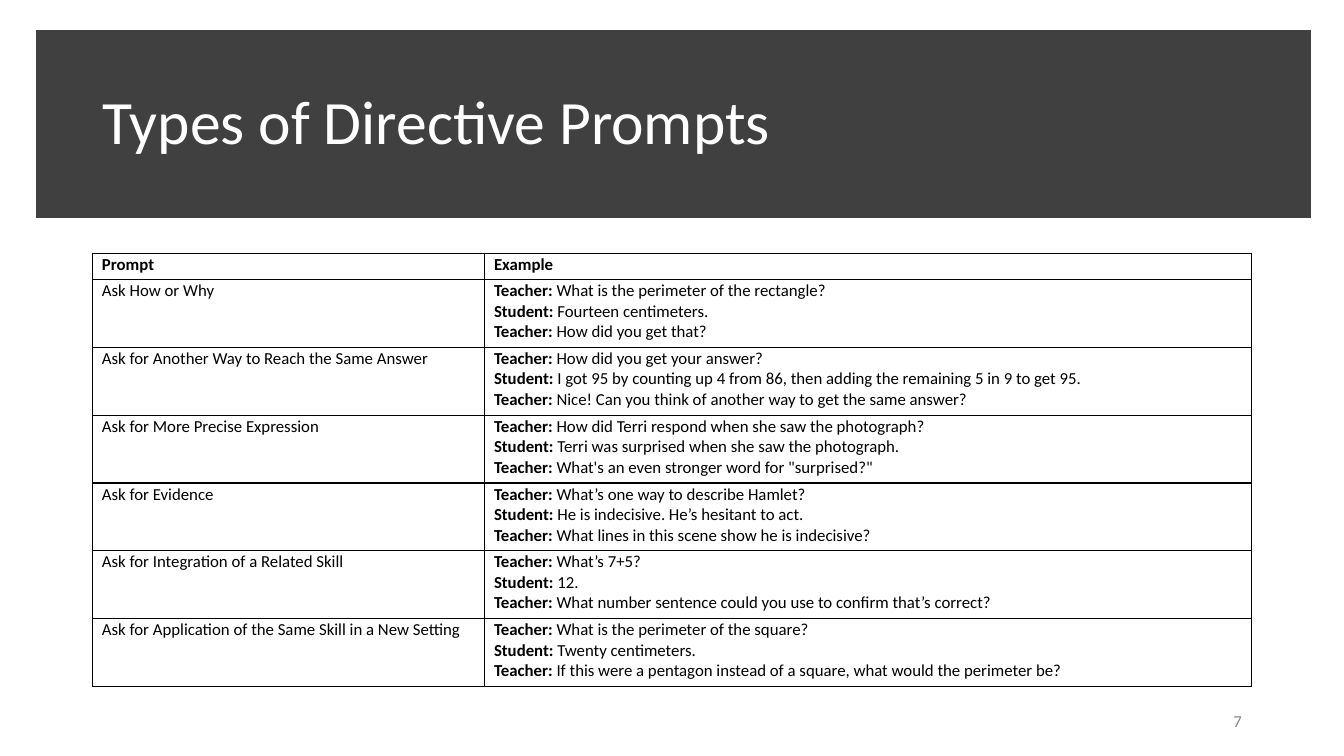
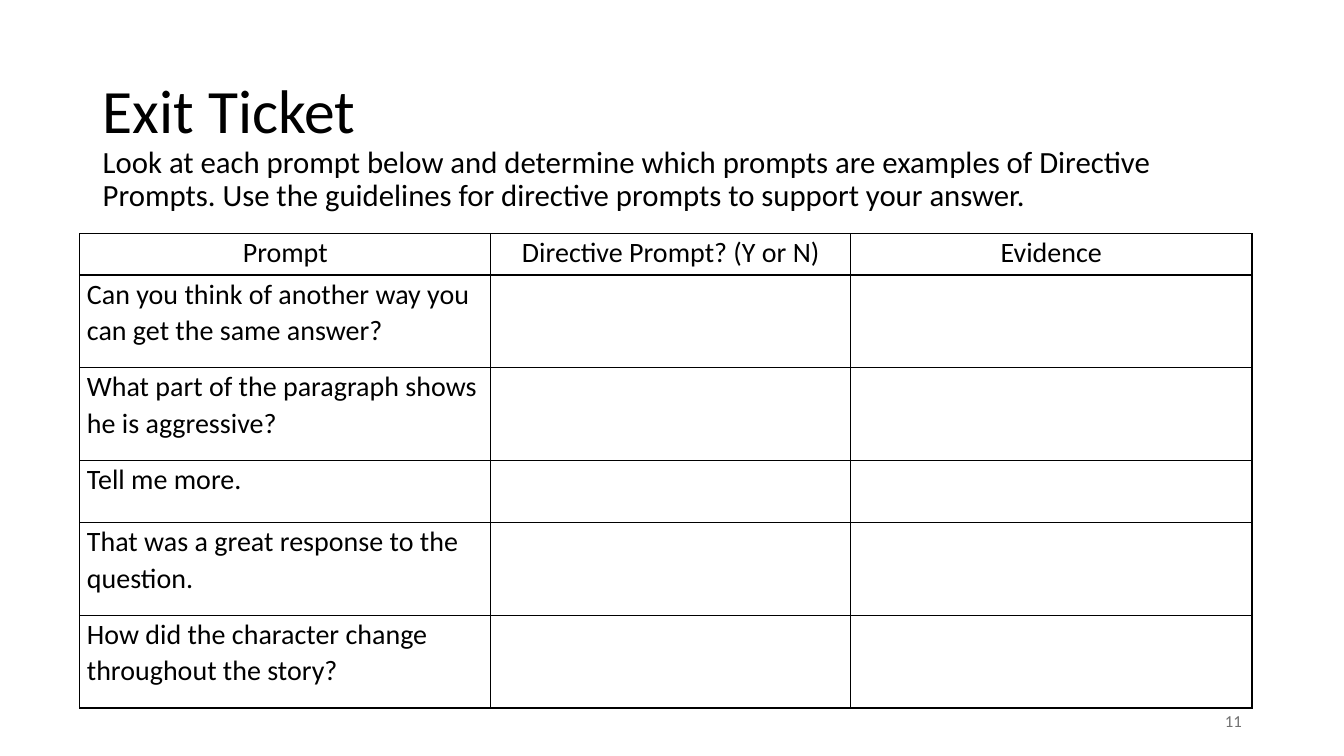
from dataclasses import dataclass

from lxml.etree import SubElement
from pptx import Presentation
from pptx.dml.color import RGBColor
from pptx.enum.shapes import MSO_SHAPE as Preset
from pptx.enum.text import MSO_ANCHOR as Anchor, PP_ALIGN as Align
from pptx.oxml.ns import qn
from pptx.util import Cm, Pt


@dataclass(frozen=True)
class Theme:
    font: str = "Calibri"
    ink: str = "000000"
    paper: str = "FFFFFF"
    band: str = "404040"
    light_number: str = "898989"
    dark_number: str = "717171"
    title: int = 44
    instruction: int = 22
    ticket: int = 20
    small: int = 12
    band_line: int = 10
    border: int = 1


theme = Theme()


def write(frame, text, size, color=theme.ink, bold=False, align=Align.LEFT,
          anchor=Anchor.TOP, spacing=1.0, bold_speaker=False):
    frame.word_wrap = True
    frame.vertical_anchor = anchor
    for index, line in enumerate(text.split("\n")):
        paragraph = frame.paragraphs[0] if index == 0 else frame.add_paragraph()
        paragraph.alignment = align
        paragraph.line_spacing = spacing
        speaker, colon, speech = line.partition(":")
        parts = [(speaker + colon, True), (speech, False)] if bold_speaker else [(line, bold)]
        for words, is_bold in parts:
            run = paragraph.add_run()
            run.text = words
            run.font.name = theme.font
            run.font.size = Pt(size)
            run.font.bold = is_bold
            run.font.color.rgb = RGBColor.from_string(color)


def add_grid(slide, left, top, widths, heights, side_margin, top_margin):
    grid = slide.shapes.add_table(len(heights), len(widths), Cm(left), Cm(top),
                                  Cm(sum(widths)), Cm(sum(heights))).table
    grid.horz_banding = False
    for column, width in zip(grid.columns, widths):
        column.width = Cm(width)
    for row, height in zip(grid.rows, heights):
        row.height = Cm(height)
    for cell in grid.iter_cells():
        cell.margin_left = cell.margin_right = Cm(side_margin)
        cell.margin_top, cell.margin_bottom = Cm(top_margin), Cm(0)
        properties = cell._tc.get_or_add_tcPr()
        for edge in ("a:lnL", "a:lnR", "a:lnT", "a:lnB"):
            border = SubElement(properties, qn(edge), w=str(Pt(theme.border)))
            ink = SubElement(border, qn("a:solidFill"))
            SubElement(ink, qn("a:srgbClr"), val=theme.ink)
        cell.fill.background()
    return grid


deck = Presentation()
deck.slide_width, deck.slide_height = Cm(33.87), Cm(19.05)
blank = deck.slide_layouts[6]
prompts_slide, ticket_slide = [deck.slides.add_slide(blank) for _ in range(2)]

band = prompts_slide.shapes.add_shape(Preset.RECTANGLE, Cm(1.09), Cm(0.94), Cm(31.78), Cm(4.39))
band.shadow.inherit = False
band.fill.solid()
band.fill.fore_color.rgb = band.line.color.rgb = RGBColor.from_string(theme.band)
band.line.width = Pt(theme.band_line)
SubElement(band._element.spPr.find(qn("a:ln")), qn("a:miter"), lim="800000")

for slide, title, title_top, title_color, number, number_color in [
    (prompts_slide, "Types of Directive Prompts", 1.3, theme.paper, "7", theme.light_number),
    (ticket_slide, "Exit Ticket", 1.02, theme.ink, "11", theme.dark_number),
]:
    heading = slide.shapes.add_textbox(Cm(2.34), Cm(title_top), Cm(29.21), Cm(3.68))
    write(heading.text_frame, title, theme.title, title_color, anchor=Anchor.MIDDLE, spacing=0.9)
    page = slide.shapes.add_textbox(Cm(23.93), Cm(17.65), Cm(7.62), Cm(1.02))
    write(page.text_frame, number, theme.small, number_color,
          align=Align.RIGHT, anchor=Anchor.MIDDLE)

dialogues = [
    ("Ask How or Why",
     "Teacher: What is the perimeter of the rectangle?\n"
     "Student: Fourteen centimeters.\n"
     "Teacher: How did you get that?"),
    ("Ask for Another Way to Reach the Same Answer",
     "Teacher: How did you get your answer?\n"
     "Student: I got 95 by counting up 4 from 86, then adding the remaining 5 in 9 to get 95.\n"
     "Teacher: Nice! Can you think of another way to get the same answer?"),
    ("Ask for More Precise Expression",
     "Teacher: How did Terri respond when she saw the photograph?\n"
     "Student: Terri was surprised when she saw the photograph.\n"
     "Teacher: What's an even stronger word for \"surprised?\""),
    ("Ask for Evidence",
     "Teacher: What’s one way to describe Hamlet?\n"
     "Student: He is indecisive. He’s hesitant to act.\n"
     "Teacher: What lines in this scene show he is indecisive?"),
    ("Ask for Integration of a Related Skill",
     "Teacher: What’s 7+5?\n"
     "Student: 12.\n"
     "Teacher: What number sentence could you use to confirm that’s correct?"),
    ("Ask for Application of the Same Skill in a New Setting",
     "Teacher: What is the perimeter of the square?\n"
     "Student: Twenty centimeters.\n"
     "Teacher: If this were a pentagon instead of a square, what would the perimeter be?"),
]
examples = add_grid(prompts_slide, 2.34, 6.38, [9.88, 19.33],
                    [0.66] + [1.71] * len(dialogues), 0.23, 0.03)
for column, label in enumerate(["Prompt", "Example"]):
    write(examples.cell(0, column).text_frame, label, theme.small, bold=True)
for row, (prompt, dialogue) in enumerate(dialogues, 1):
    write(examples.cell(row, 0).text_frame, prompt, theme.small)
    write(examples.cell(row, 1).text_frame, dialogue, theme.small, bold_speaker=True)

instruction = ticket_slide.shapes.add_textbox(Cm(2.34), Cm(3.58), Cm(29.21), Cm(12.09))
write(instruction.text_frame,
      "Look at each prompt below and determine which prompts are examples of Directive Prompts. "
      "Use the guidelines for directive prompts to support your answer.",
      theme.instruction, spacing=0.9)

questions = [
    "Can you think of another way you can get the same answer?",
    "What part of the paragraph shows he is aggressive?",
    "Tell me more.",
    "That was a great response to the question.",
    "How did the character change throughout the story?",
]
answers = add_grid(ticket_slide, 2.01, 5.89, [10.36, 9.07, 10.11],
                   [1.04, 2.34, 2.34, 1.55, 2.34, 2.34], 0.18, 0)
for column, label in enumerate(["Prompt", "Directive Prompt? (Y or N)", "Evidence"]):
    write(answers.cell(0, column).text_frame, label, theme.ticket,
          align=Align.CENTER, spacing=1.07)
for row, question in enumerate(questions, 1):
    write(answers.cell(row, 0).text_frame, question, theme.ticket, spacing=1.07)

deck.save("out.pptx")
